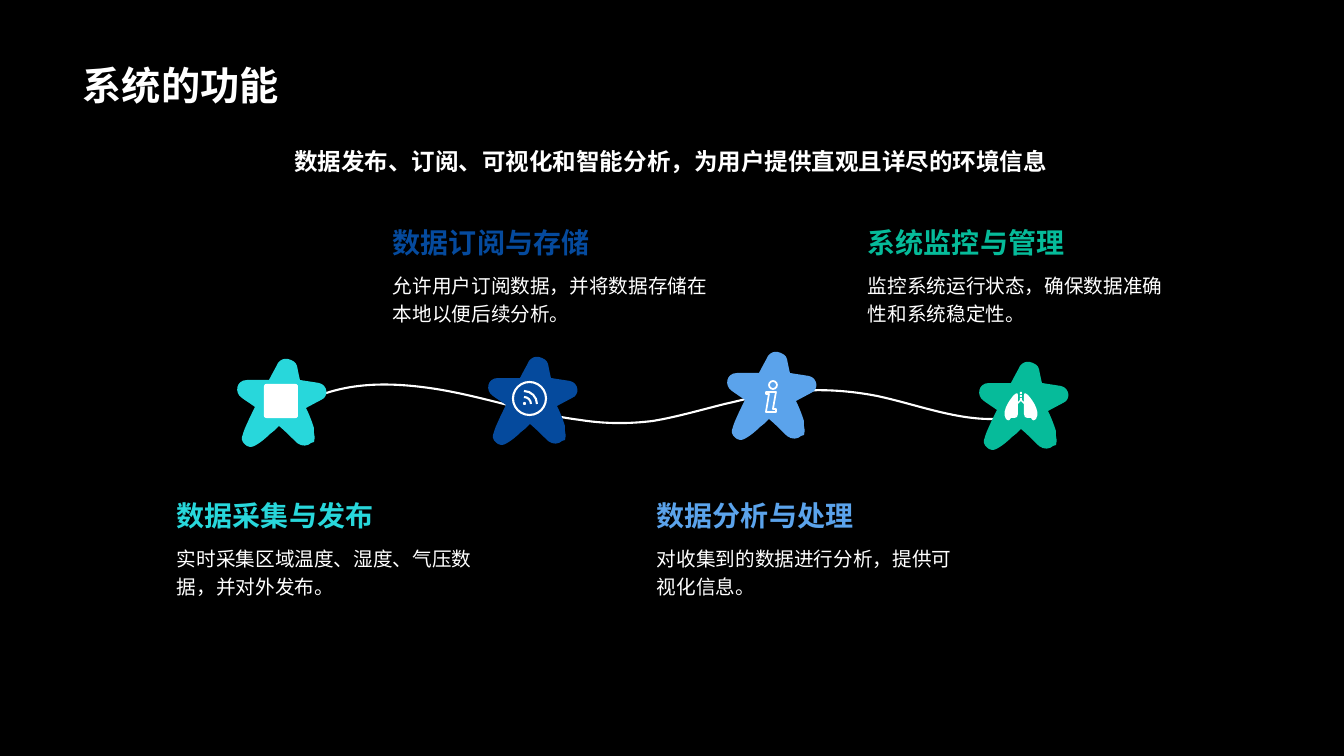
from lxml import etree
from pptx import Presentation
from pptx import util as u
from pptx.dml.color import RGBColor
from pptx.enum import shapes, text
from pptx.oxml import ns

PX = 914400 / 100.8  # EMU in one px
COLORS = {"black": "000000", "white": "FFFFFF", "cyan": "28D7DB",
          "navy": "054A9D", "sky": "5BA3EB", "green": "06BB9A"}


def rgb(name):
    return RGBColor.from_string(COLORS[name])


class Deck:
    font = "Arial"

    def __init__(self, width, height):
        self.prs = Presentation()
        self.prs.slide_width, self.prs.slide_height = self.emu(width), self.emu(height)
        self.s = self.prs.slides.add_slide(self.prs.slide_layouts[6])
        bg = self.s.background.fill
        bg.solid()
        bg.fore_color.rgb = rgb("black")

    @staticmethod
    def emu(px):
        return u.Emu(round(px * PX))

    def style(self, sp, fill=None, line=None, weight=1.5):
        sp.shadow.inherit = False
        if fill:
            sp.fill.solid()
            sp.fill.fore_color.rgb = rgb(fill)
        else:
            sp.fill.background()
        if line:
            sp.line.color.rgb = rgb(line)
            sp.line.width = u.Pt(weight)
        else:
            sp.line.fill.background()
        return sp

    def text(self, box, words, size, color="white", bold=False, spacing=None,
             anchor=text.MSO_ANCHOR.TOP, align=text.PP_ALIGN.LEFT):
        tf = self.s.shapes.add_textbox(*map(self.emu, box)).text_frame
        tf.word_wrap = True
        tf.vertical_anchor = anchor
        p = tf.paragraphs[0]
        p.alignment = align
        if spacing:
            p.line_spacing = spacing
        r = p.add_run()
        r.text = words
        r.font.name, r.font.size, r.font.bold = self.font, u.Pt(size), bold
        r.font.color.rgb = rgb(color)

    def shape(self, kind, box, **style):
        return self.style(self.s.shapes.add_shape(kind, *map(self.emu, box)), **style)

    def outline(self, origin, start, segments, closed=True, mirror=1, **style):
        """Draw (x, y) lines and (x1, y1, x2, y2, x, y) cubic curves."""
        def place(x, y):
            return self.emu(origin[0] + mirror * x), self.emu(origin[1] + y)

        fb = self.s.shapes.build_freeform(*place(*start), scale=1.0)
        fb.add_line_segments([place(*seg[-2:]) for seg in segments], close=closed)
        sp = fb.convert_to_shape()
        # Bend the straight segments that have control points
        for seg, line_to in zip(segments, list(sp._element.iter(ns.qn("a:lnTo")))):
            if len(seg) == 6:
                bend = etree.Element(ns.qn("a:cubicBezTo"))
                for i in (0, 2, 4):
                    x, y = place(*seg[i:i + 2])
                    etree.SubElement(bend, ns.qn("a:pt"),
                                     x=str(x - sp.left), y=str(y - sp.top))
                line_to.getparent().replace(line_to, bend)
        return self.style(sp, **style)


STAR = [(55, 1, 59, 3, 60, 7), (61, 12, 62, 17, 63, 21), (69, 22, 76, 23, 82, 24),
        (91, 26, 92, 38, 84, 41), (69, 49), (73, 57, 75, 63, 77, 69),
        (77, 74), (78, 77, 78, 80, 77, 83), (74, 84), (71, 87, 65, 88, 60, 84),
        (54, 78, 48, 72, 42, 67), (38, 71, 36, 73, 33, 75),
        (24, 84, 15, 89, 13, 88), (10, 87), (7, 85, 4, 82, 5, 78),
        (6, 75, 7, 71, 9, 67), (12, 60, 15, 54, 18, 48),
        (14, 45, 9, 42, 5, 39), (-3, 34, -1, 21, 10, 21), (17, 21, 25, 21, 32, 21),
        (35, 15, 38, 10, 41, 4), (43, 1, 47, -1, 51, 0)]
WAVE = [(344, 381, 391, 382, 436, 389), (486, 397, 532, 414, 580, 420),
        (605, 424, 629, 424, 653, 421), (677, 417, 701, 410, 725, 404),
        (748, 399, 774, 391, 799, 391), (825, 389, 851, 391, 877, 396),
        (924, 406, 972, 427, 1020, 416), (1026, 415, 1032, 413, 1037, 411)]
LETTER_I = [(776, 392), (773, 409), (776, 409), (776, 412), (766, 412),
            (769, 394), (766, 394)]
LUNG = [(3, 0, 3, -4, 7, 0), (7, 0, 21, 15, 15, 24), (14, 25, 12, 27, 10, 23),
        (9, 22, 3, 25, 3, 19), (3, 9), (0, 6), (0, 5), (1, 5), (3, 7)]

# star left and top, colour, label left, label width, label above the wave, words
STEPS = [
    (237, 359, "cyan", 167, 332, False, "数据采集与发布",
     "实时采集区域温度、湿度、气压数据，并对外发布。"),
    (488, 357, "navy", 383, 345, True, "数据订阅与存储",
     "允许用户订阅数据，并将数据存储在本地以便后续分析。"),
    (727, 352, "sky", 647, 332, False, "数据分析与处理",
     "对收集到的数据进行分析，提供可视化信息。"),
    (979, 362, "green", 858, 317, True, "系统监控与管理",
     "监控系统运行状态，确保数据准确性和系统稳定性。"),
]


def main():
    deck = Deck(1344, 756)
    kind = shapes.MSO_SHAPE
    bottom = text.MSO_ANCHOR.BOTTOM

    # Title and summary
    deck.text((73, 14, 1198, 99), "系统的功能", 28, bold=True, anchor=bottom)
    deck.text((235, 128, 871, 67),
              "数据发布、订阅、可视化和智能分析，为用户提供直观且详尽的环境信息",
              16.8, bold=True, spacing=1.5, align=text.PP_ALIGN.CENTER)

    # Wave, stars and labels
    deck.outline((0, 0), (303, 403), WAVE, closed=False, line="white")
    for left, top, color, x, width, above, head, body in STEPS:
        deck.outline((left, top), (51, 0), STAR, fill=color)
        body_top, head_height = (264, 61) if above else (537, 66)
        deck.text((x, body_top - head_height, width, head_height), head, 20,
                  color, bold=True, anchor=bottom)
        deck.text((x, body_top, width, 91), body, 14, spacing=1.2)

    # Plain tile
    tile = deck.shape(kind.ROUNDED_RECTANGLE, (264, 384, 34, 34), fill="white")
    tile.adjustments[0] = 0.07

    # Signal icon
    deck.shape(kind.OVAL, (513, 382, 33, 33), line="white")
    deck.shape(kind.OVAL, (523, 402, 3, 3), fill="white")
    for radius in (7, 13):
        k = radius * 0.55
        deck.outline((524, 404), (0, -radius), [(k, -radius, radius, -k, radius, 0)],
                     closed=False, line="white")

    # Information icon
    deck.shape(kind.OVAL, (769, 381, 8, 8), line="white", weight=1.25)
    deck.outline((0, 0), (766, 392), LETTER_I, line="white", weight=1.25)

    # Lungs icon
    for side in (-1, 1):
        deck.outline((1021, 395), (3, 0), LUNG, mirror=side, fill="white")
    for ring in range(3):
        deck.shape(kind.RECTANGLE, (1020, 392 + 3 * ring, 2, 2), fill="white")

    deck.prs.save("out.pptx")


if __name__ == "__main__":
    main()
